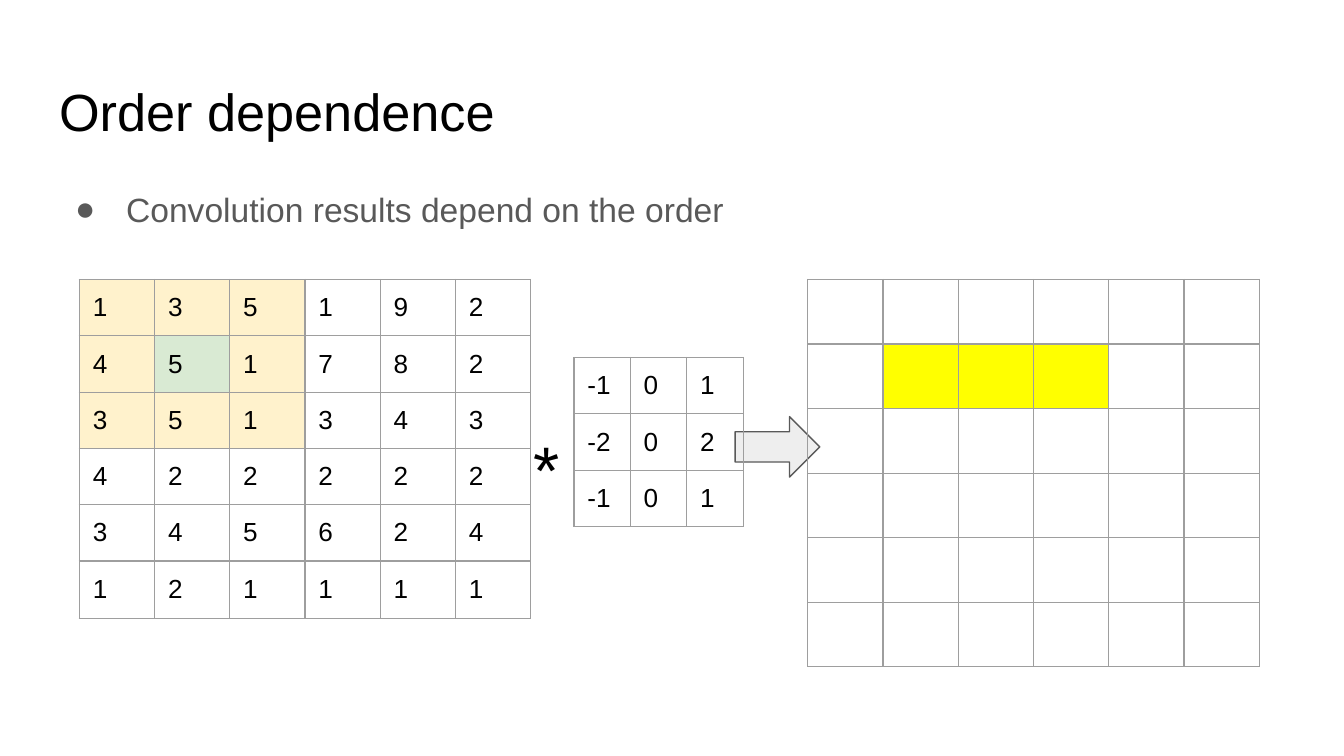
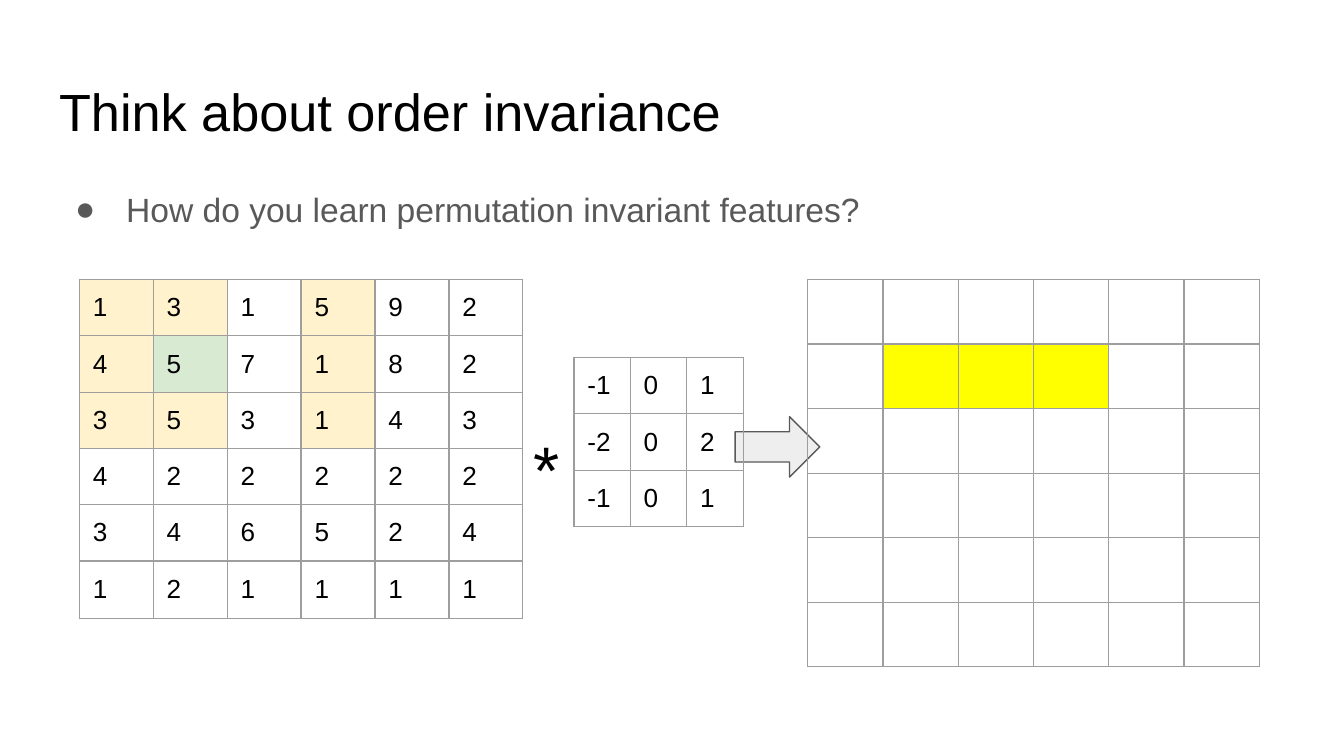
from lxml.etree import SubElement
from pptx import Presentation
from pptx.dml.color import RGBColor
from pptx.enum.shapes import MSO_SHAPE
from pptx.enum.text import MSO_ANCHOR, MSO_AUTO_SIZE, PP_ALIGN
from pptx.oxml.ns import qn
from pptx.util import Inches, Pt

FONT = "Arial"
BLACK, GRAY = "000000", "595959"
GRID, ARROW = "9E9E9E", "EEEEEE"
WINDOW, CENTER, RESULT = "FFF2CC", "D9EAD3", "FFFF00"

SIGNAL = [
    [1, 3, 5, 1, 9, 2],
    [4, 5, 1, 7, 8, 2],
    [3, 5, 1, 3, 4, 3],
    [4, 2, 2, 2, 2, 2],
    [3, 4, 5, 6, 2, 4],
    [1, 2, 1, 1, 1, 1],
]
KERNEL = [[-1, 0, 1], [-2, 0, 2], [-1, 0, 1]]
EMPTY = [[None] * 6 for _ in range(6)]
GRID_ROWS = [0.41] * 5 + [0.43]

SIGNAL_FILLS = {(row, column): WINDOW for row in range(3) for column in range(3)}
SIGNAL_FILLS[1, 1] = CENTER
RESULT_FILLS = {(1, column): RESULT for column in (1, 2, 3)}


def rgb(color):
    return RGBColor.from_string(color)


def write_text(frame, text, size=14, color=BLACK, line_spacing=None):
    para = frame.paragraphs[0]
    para.alignment = PP_ALIGN.LEFT
    if line_spacing:
        para.line_spacing = line_spacing
    span = para.add_run()
    span.text = text
    span.font.name = FONT
    span.font.size = Pt(size)
    span.font.color.rgb = rgb(color)
    return para


def set_empty_font(para, size=18):
    """Set the font that gives an empty paragraph its height."""
    end = SubElement(para._p, qn("a:endParaRPr"), sz=str(size * 100))
    SubElement(end, qn("a:latin"), typeface=FONT)


def set_margins(target):
    """Give a text frame or a table cell the same inset on every side."""
    for side in ("left", "right", "top", "bottom"):
        setattr(target, f"margin_{side}", Inches(0.1))


def add_bullet(para, color):
    properties = para._p.get_or_add_pPr()
    properties.set("marL", str(Inches(0.5)))
    properties.set("indent", str(Inches(-0.38)))
    bullet_color = SubElement(properties, qn("a:buClr"))
    SubElement(bullet_color, qn("a:srgbClr"), val=color)
    SubElement(properties, qn("a:buFont"), typeface=FONT)
    SubElement(properties, qn("a:buChar"), char="●")


def add_borders(cell):
    properties = cell._tc.get_or_add_tcPr()
    for side in ("lnL", "lnR", "lnT", "lnB"):
        line = SubElement(properties, qn(f"a:{side}"), w=str(Pt(0.75)))
        fill = SubElement(line, qn("a:solidFill"))
        SubElement(fill, qn("a:srgbClr"), val=GRID)


class Slides:
    def __init__(self):
        self.deck = Presentation()
        self.deck.slide_width = Inches(10)
        self.deck.slide_height = Inches(10) * 9 // 16
        self.page = None

    def start_page(self, title):
        self.page = self.deck.slides.add_slide(self.deck.slide_layouts[5])
        box = self.page.shapes.title
        box.left, box.top = Inches(0.34), Inches(0.49)
        box.width, box.height = Inches(9.32), Inches(0.63)
        self.format_frame(box.text_frame)
        write_text(box.text_frame, title, size=28)

    def format_frame(self, frame):
        frame.word_wrap = True
        frame.auto_size = MSO_AUTO_SIZE.NONE
        frame.vertical_anchor = MSO_ANCHOR.TOP
        set_margins(frame)

    def text(self, left, top, width, height, text, **style):
        box = self.page.shapes.add_textbox(
            Inches(left), Inches(top), Inches(width), Inches(height))
        self.format_frame(box.text_frame)
        return write_text(box.text_frame, text, **style)

    def bullet(self, text):
        para = self.text(0.34, 1.26, 9.32, 3.74, text,
                         size=18, color=GRAY, line_spacing=1.15)
        add_bullet(para, GRAY)

    def matrix(self, left, top, values, column_width, row_heights, fills=None):
        """Draw a grid of numbers; fills maps (row, column) to a colour."""
        fills = fills or {}
        columns = len(values[0])
        table = self.page.shapes.add_table(
            len(values), columns, Inches(left), Inches(top),
            Inches(column_width * columns), Inches(sum(row_heights))).table
        table.first_row = table.horz_banding = False
        for row, height in enumerate(row_heights):
            table.rows[row].height = Inches(height)
            for column, value in enumerate(values[row]):
                cell = table.cell(row, column)
                set_margins(cell)
                add_borders(cell)
                if (row, column) in fills:
                    cell.fill.solid()
                    cell.fill.fore_color.rgb = rgb(fills[row, column])
                else:
                    cell.fill.background()
                if value is None:
                    set_empty_font(cell.text_frame.paragraphs[0])
                else:
                    write_text(cell.text_frame, str(value))

    def arrow(self, left, top, width, height):
        shape = self.page.shapes.add_shape(
            MSO_SHAPE.RIGHT_ARROW,
            Inches(left), Inches(top), Inches(width), Inches(height))
        shape.shadow.inherit = False
        shape.fill.solid()
        shape.fill.fore_color.rgb = rgb(ARROW)
        shape.line.color.rgb = rgb(GRAY)
        shape.line.width = Pt(0.75)

    def convolution(self, title, point, order, column_width):
        """Show signal * kernel, with the signal's columns in the given order."""
        values = [[row[source] for source in order] for row in SIGNAL]
        fills = {(row, order.index(column)): color
                 for (row, column), color in SIGNAL_FILLS.items()}
        self.start_page(title)
        self.bullet(point)
        self.matrix(0.59, 2.08, values, column_width, GRID_ROWS, fills)
        self.arrow(5.47, 3.1, 0.63, 0.45)
        self.text(3.87, 3.08, 0.63, 0.94, "*", size=36)
        self.matrix(4.27, 2.66, KERNEL, 0.42, [0.42] * 3)
        self.matrix(6.01, 2.08, EMPTY, 0.56, GRID_ROWS, RESULT_FILLS)


def main():
    slides = Slides()
    slides.convolution("Order dependence",
                       "Convolution results depend on the order",
                       order=[0, 1, 2, 3, 4, 5], column_width=0.56)
    slides.convolution("Think about order invariance",
                       "How do you learn permutation invariant features?",
                       order=[0, 1, 3, 2, 4, 5], column_width=0.55)
    slides.deck.save("out.pptx")


if __name__ == "__main__":
    main()
